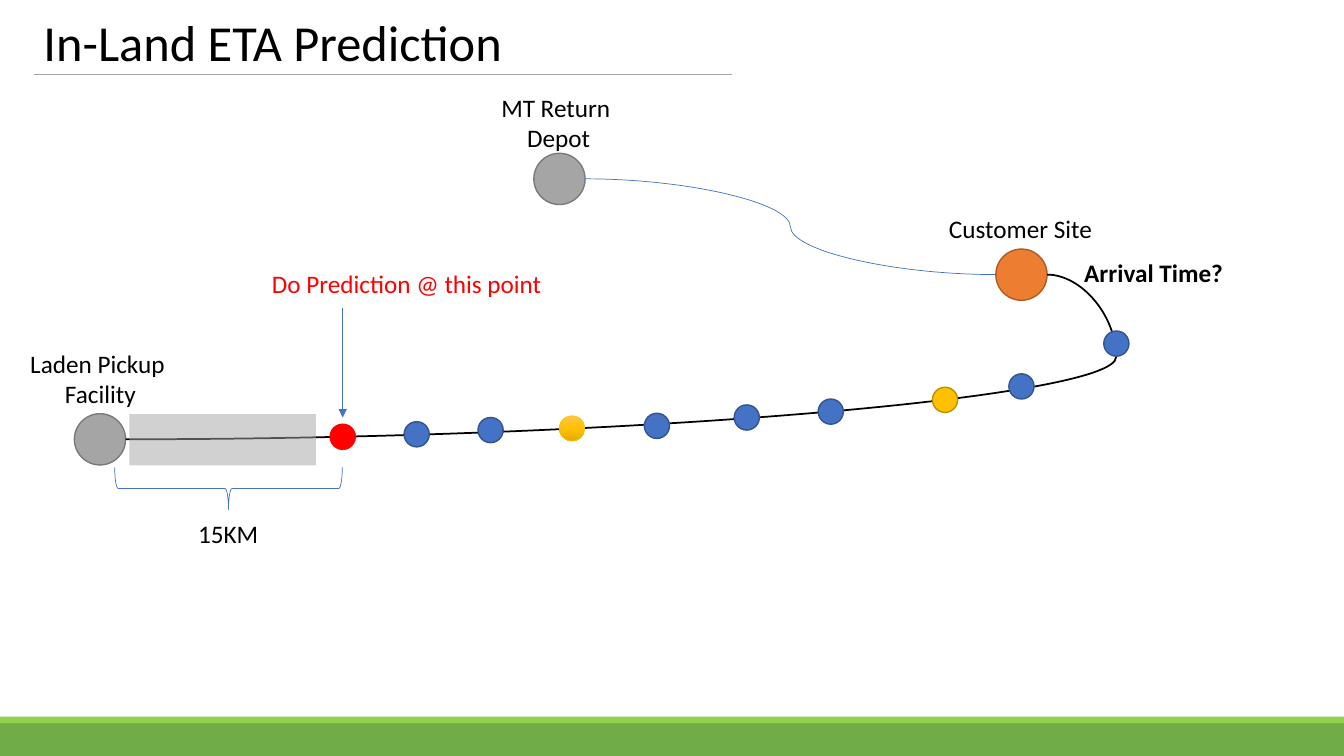
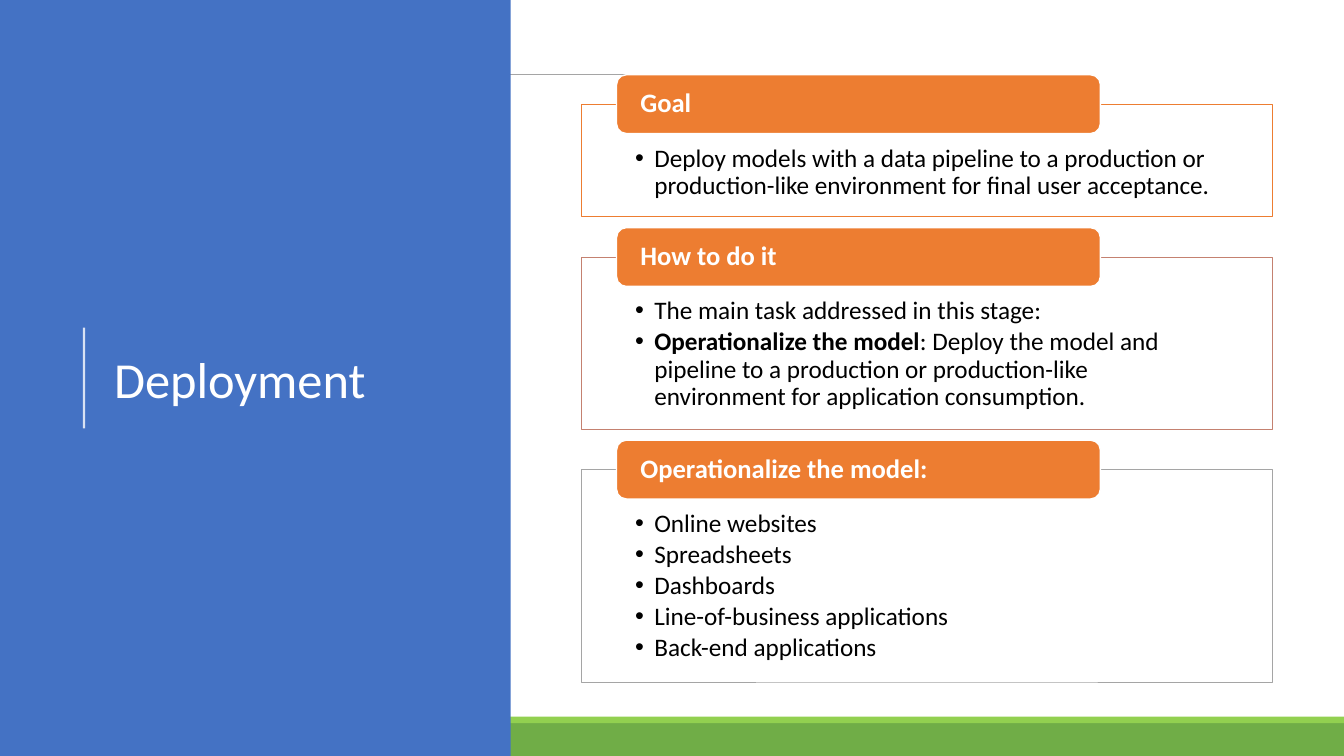
import copy

import pptx
import pptx.dml.color
import pptx.enum.shapes
import pptx.enum.text
import pptx.oxml
import pptx.oxml.ns
import pptx.util

SHAPE = pptx.enum.shapes.MSO_SHAPE
CONNECTOR = pptx.enum.shapes.MSO_CONNECTOR
ALIGN = pptx.enum.text.PP_ALIGN
ANCHOR = pptx.enum.text.MSO_ANCHOR
qn = pptx.oxml.ns.qn

# Grid: 160 columns by 90 rows of square cells
COLUMNS, ROWS = 160, 90
CELL = pptx.util.Inches(13.33) / COLUMNS

FONT = "Calibri"
BLACK, WHITE, RED = "000000", "FFFFFF", "FF0000"
BLUE, DARK_BLUE = "4472C4", "325491"
GRAY, DARK_GRAY = "A5A5A5", "7A7A7A"
ORANGE, DARK_ORANGE = "ED7D31", "AF5C24"
GOLD, DARK_GOLD = "FFC000", "BD8E00"
GREEN, LIME = "70AD47", "92D050"


def cells(*counts):
    return [round(count * CELL) for count in counts]


def rgb(hex_text):
    return pptx.dml.color.RGBColor.from_string(hex_text)


def add_xml(parent, tag, **attributes):
    element = pptx.oxml.parse_xml(f"<a:{tag} {pptx.oxml.ns.nsdecls('a')}/>")
    for key, value in attributes.items():
        element.set(key, str(value))
    parent.append(element)
    return element


def set_opacity(item, percent):
    """Fade the first colour of a shape or connector."""
    color = item._element.spPr.find(".//" + qn("a:srgbClr"))
    add_xml(color, "alpha", val=percent * 1000)


# Elements
def draw_shape(slide, kind, box, fill=None, line=None, width=1, opacity=None):
    shape = slide.shapes.add_shape(kind, *cells(*box))
    shape.shadow.inherit = False
    if fill:
        shape.fill.solid()
        shape.fill.fore_color.rgb = rgb(fill)
    else:
        shape.fill.background()
    if line:
        shape.line.color.rgb = rgb(line)
        shape.line.width = pptx.util.Pt(width)
    else:
        shape.line.fill.background()
    if opacity:
        set_opacity(shape, opacity)
    return shape


def draw_circle(slide, center, diameter, fill, line, width=1):
    x, y = center
    box = (x - diameter / 2, y - diameter / 2, diameter, diameter)
    return draw_shape(slide, SHAPE.OVAL, box, fill, line, width)


def draw_line(slide, start, end, color, width=0.5, bend=None, arrow=False, opacity=None):
    """Draw a straight line, or a curve turning at the share `bend` of its width."""
    kind = CONNECTOR.STRAIGHT if bend is None else CONNECTOR.CURVE
    connector = slide.shapes.add_connector(kind, *cells(*start, *end))
    connector.line.color.rgb = rgb(color)
    connector.line.width = pptx.util.Pt(width)
    properties = connector._element.spPr
    if bend is not None:
        adjustments = properties.find(".//" + qn("a:avLst"))
        add_xml(adjustments, "gd", name="adj1", fmla=f"val {round(bend * 100000)}")
    if arrow:
        add_xml(properties.find(qn("a:ln")), "tailEnd", type="triangle")
    if opacity:
        set_opacity(connector, opacity)
    add_xml(properties, "effectLst")


def write_text(shape, *paragraphs, size=18, color=BLACK, bold=False, align=ALIGN.LEFT,
               anchor=ANCHOR.TOP, insets=None, wrap=True, spacing=None, after=0,
               bullet_indent=None):
    """Each paragraph is a string or a list of (text, bold) runs."""
    frame = shape.text_frame
    frame.word_wrap = wrap
    frame.vertical_anchor = anchor
    if not wrap:
        frame.auto_size = pptx.enum.text.MSO_AUTO_SIZE.SHAPE_TO_FIT_TEXT
    if insets:
        (frame.margin_left, frame.margin_top,
         frame.margin_right, frame.margin_bottom) = cells(*insets)
    for index, content in enumerate(paragraphs):
        paragraph = frame.add_paragraph() if index else frame.paragraphs[0]
        paragraph.alignment = align
        paragraph.space_after = pptx.util.Pt(after)
        if spacing:
            paragraph.line_spacing = spacing
        if bullet_indent:
            indent, = cells(bullet_indent)
            properties = paragraph._p.get_or_add_pPr()
            properties.set("marL", str(indent))
            properties.set("indent", str(-indent))
            add_xml(properties, "buFont", typeface="Arial")
            add_xml(properties, "buChar", char="•")
        paragraph.font.size = pptx.util.Pt(size)
        runs = [(content, bold)] if isinstance(content, str) else content
        for text, run_bold in runs:
            for part, line_text in enumerate(text.split("\n")):
                if part:
                    paragraph.add_line_break()
                run = paragraph.add_run()
                run.text = line_text
                run.font.name = FONT
                run.font.size = pptx.util.Pt(size)
                run.font.bold = run_bold
                run.font.color.rgb = rgb(color)


def draw_label(slide, box, text, **text_format):
    label = slide.shapes.add_textbox(*cells(*box))
    write_text(label, text, **{"wrap": False, **text_format})


def draw_title(slide, box, text, color=BLACK):
    draw_label(slide, box, text, size=36, color=color, wrap=True,
               anchor=ANCHOR.MIDDLE, spacing=0.9)


def add_base_slide(deck):
    """Blank slide with the shared footer bands and title rule."""
    slide = deck.slides.add_slide(deck.slide_layouts[6])
    draw_shape(slide, SHAPE.RECTANGLE, (0, 86, COLUMNS, 4), GREEN)
    draw_shape(slide, SHAPE.RECTANGLE, (0, 85.3, COLUMNS, 0.8), LIME)
    draw_line(slide, (4, 8.9), (87.1, 8.9), GRAY)
    return slide


def shade_gold(circle):
    circle.fill.gradient()
    circle.fill.gradient_angle = 270
    stop_list = circle._element.spPr.find(".//" + qn("a:gsLst"))
    stop_list.append(copy.deepcopy(stop_list[-1]))
    shades = [(0, "FFC64B"), (0.5, GOLD), (1, "E3AB00")]
    for stop, (position, color) in zip(circle.fill.gradient_stops, shades):
        stop.position = position
        stop.color.rgb = rgb(color)


# Slide 1: route from pickup to customer and depot
def build_prediction_slide(deck):
    slide = add_base_slide(deck)
    draw_title(slide, (4, 1.8, 152.9, 7.2), "In-Land ETA Prediction")

    hub_size, dot_size = 6.1, 3
    radius = hub_size / 2
    pickup, customer, depot = (11.9, 52.3), (121.6, 32.7), (66.6, 21.3)
    for center, fill, line in [(pickup, GRAY, DARK_GRAY), (customer, ORANGE, DARK_ORANGE),
                               (depot, GRAY, DARK_GRAY)]:
        draw_circle(slide, center, hub_size, fill, line)

    draw_line(slide, (pickup[0] + radius, pickup[1]), (customer[0] + radius, customer[1]),
              BLACK, 1.25, bend=1.075)
    draw_line(slide, (customer[0] - radius, customer[1]), (depot[0] + radius, depot[1]),
              BLUE, bend=0.5)

    # Tracking points along the route
    prediction_x = 40.8
    draw_circle(slide, (prediction_x, 52), dot_size, RED, RED)
    for center in [(49.6, 51.7), (58.4, 51.2), (78.2, 50.7), (88.9, 49.7),
                   (98.9, 49), (121.6, 46), (132.9, 40.9)]:
        draw_circle(slide, center, dot_size, BLUE, DARK_BLUE)
    draw_circle(slide, (112.5, 47.6), dot_size, GOLD, DARK_GOLD)
    shade_gold(draw_circle(slide, (68.1, 51), dot_size, GOLD, GOLD, 0.5))

    # First stretch and prediction marker
    draw_shape(slide, SHAPE.RECTANGLE, (15.4, 49.3, 22.2, 6.1), GRAY, opacity=50)
    brace = draw_shape(slide, SHAPE.RIGHT_BRACE, (24.7, 44.6, 5, 27.1), line=BLUE, width=0.5)
    brace.rotation = 90
    draw_line(slide, (prediction_x, 36.7), (prediction_x, 49.7), BLUE, arrow=True)

    # Labels
    draw_label(slide, (111.8, 24.8, 19.6, 4.8), "Customer Site")
    draw_label(slide, (2.3, 40.9, 19.3, 8.5), "Laden Pickup \nFacility", align=ALIGN.CENTER)
    draw_label(slide, (127.9, 30, 19.1, 4.8), "Arrival Time?", bold=True)
    draw_label(slide, (22.4, 61.1, 9.7, 4.8), "15KM")
    draw_label(slide, (31.2, 31.4, 34.9, 4.8), "Do Prediction @ this point", color=RED)
    draw_label(slide, (58.4, 10.4, 16.2, 8.5), "MT Return \nDepot", align=ALIGN.CENTER)


# Slide 2: deployment stage in three sections
def draw_section(slide, top, height, outline, heading, points):
    body = draw_shape(slide, SHAPE.RECTANGLE, (69.2, top, 82.3, height), WHITE, outline,
                      0.5, opacity=90)
    write_text(body, *points, insets=(6.4, 4.9, 6.4, 1.7), spacing=0.9, after=2.7,
               bullet_indent=2.3)
    tab_height = 7
    tab = draw_shape(slide, SHAPE.ROUNDED_RECTANGLE,
                     (73.4, top - tab_height / 2, 57.6, tab_height), ORANGE, WHITE)
    write_text(tab, heading, size=19, color=WHITE, bold=True, anchor=ANCHOR.MIDDLE,
               insets=(2.5, 0, 2.5, 0), spacing=0.9)


def build_deployment_slide(deck):
    slide = add_base_slide(deck)
    draw_shape(slide, SHAPE.RECTANGLE, (0, 0, 60.8, ROWS), BLUE)
    draw_line(slide, (10, 51), (10, 39), WHITE, 1.5, opacity=80)
    draw_title(slide, (12.4, 9.4, 44.3, 72.2), "Deployment", WHITE)

    sections = [
        (13.4, ORANGE, "Goal",
         ["Deploy models with a data pipeline to a production or production-like "
          "environment for final user acceptance."]),
        (20.5, "C48170", "How to do it",
         ["The main task addressed in this stage:",
          [("Operationalize the model", True),
           (": Deploy the model and pipeline to a production or production-like "
            "environment for application consumption.", False)]]),
        (25.3, GRAY, "Operationalize the model:",
         ["Online websites", "Spreadsheets", "Dashboards",
          "Line-of-business applications", "Back-end applications"]),
    ]
    top, gap = 12.4, 4.8
    for height, outline, heading, points in sections:
        draw_section(slide, top, height, outline, heading, points)
        top += height + gap


def main():
    deck = pptx.Presentation()
    deck.slide_width, deck.slide_height = cells(COLUMNS, ROWS)
    build_prediction_slide(deck)
    build_deployment_slide(deck)
    deck.save("out.pptx")


if __name__ == "__main__":
    main()
